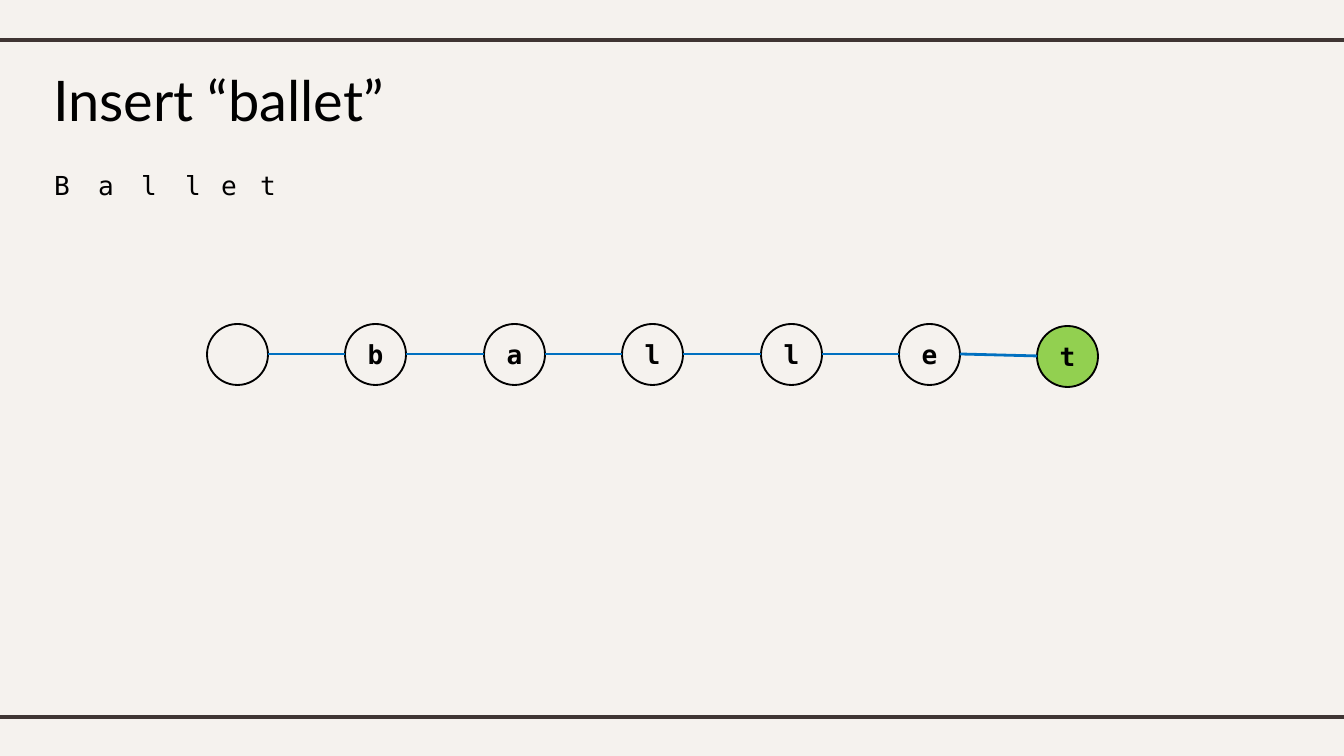
from pptx import Presentation
from pptx import util as u
from pptx.dml.color import RGBColor
from pptx.enum import shapes, text
from pptx.oxml.ns import qn
from lxml import etree

EMU_PER_PX = 914400 / 134.4
MONO = "DejaVu Sans Mono"
BACKGROUND, BLACK, GREEN = "F5F2EE", "000000", "92D050"
RULE, EDGE = "3F3533", "0070C0"


def px(*lengths):
    """Turn pixel lengths into a list of EMU values."""
    return [round(length * EMU_PER_PX) for length in lengths]


def color(hex_code):
    return RGBColor.from_string(hex_code)


presentation = Presentation()
presentation.slide_width, presentation.slide_height = px(1344, 756)
slide = presentation.slides.add_slide(presentation.slide_layouts[6])
slide.background.fill.solid()
slide.background.fill.fore_color.rgb = color(BACKGROUND)

# Title
title = slide.shapes.add_textbox(*px(40, 52, 382, 95))
frame = title.text_frame
frame.word_wrap = True
frame.margin_left, frame.margin_top, frame.margin_right, frame.margin_bottom = px(13, 13, 13, 13)
paragraph = frame.paragraphs[0]
paragraph.text = "Insert “ballet”"
paragraph.font.name = "Lato"
paragraph.font.size = u.Pt(30)
paragraph.font.color.rgb = color(BLACK)

# The word, one box per letter
letters = []
for letter, left in zip("Ballet", (40, 84, 127, 171, 207, 246)):
    box = slide.shapes.add_textbox(*px(left, 163, 44, 46))
    box.text_frame.word_wrap = True
    box.text_frame.auto_size = text.MSO_AUTO_SIZE.SHAPE_TO_FIT_TEXT
    letters.append((box, letter, False))

# The trie path: an empty root, then one node per letter
DIAMETER = 61
node_lefts = [round(207 + 138.4 * i) for i in range(7)]
node_tops = [324] * 6 + [326]
for left, top, letter in zip(node_lefts, node_tops, ["", *"ballet"]):
    node = slide.shapes.add_shape(shapes.MSO_SHAPE.OVAL, *px(left, top, DIAMETER, DIAMETER))
    node.shadow.inherit = False
    node.fill.solid()
    node.fill.fore_color.rgb = color(GREEN if letter == "t" else BACKGROUND)
    node.line.color.rgb = color(BLACK)
    node.line.width = u.Pt(1)
    if letter:
        node.text_frame.vertical_anchor = text.MSO_ANCHOR.MIDDLE
        letters.append((node, letter, True))

for shape, letter, bold in letters:
    paragraph = shape.text_frame.paragraphs[0]
    paragraph.text = letter
    paragraph.alignment = text.PP_ALIGN.CENTER
    paragraph.font.name = MONO
    paragraph.font.size = u.Pt(14)
    paragraph.font.bold = bold
    paragraph.font.color.rgb = color(BLACK)

# Rules across the slide, and edges between neighbouring nodes
lines = [(-11, y, 1355, y, RULE, 2.25) for y in (40, 717)]
for i in range(6):
    lines.append((node_lefts[i] + DIAMETER, node_tops[i] + DIAMETER // 2,
                  node_lefts[i + 1], node_tops[i + 1] + DIAMETER // 2, EDGE, 1.5))
for *ends, line_color, width in lines:
    connector = slide.shapes.add_connector(shapes.MSO_CONNECTOR.STRAIGHT, *px(*ends))
    connector.line.color.rgb = color(line_color)
    connector.line.width = u.Pt(width)
    etree.SubElement(connector._element.spPr, qn("a:effectLst"))

presentation.save("out.pptx")
